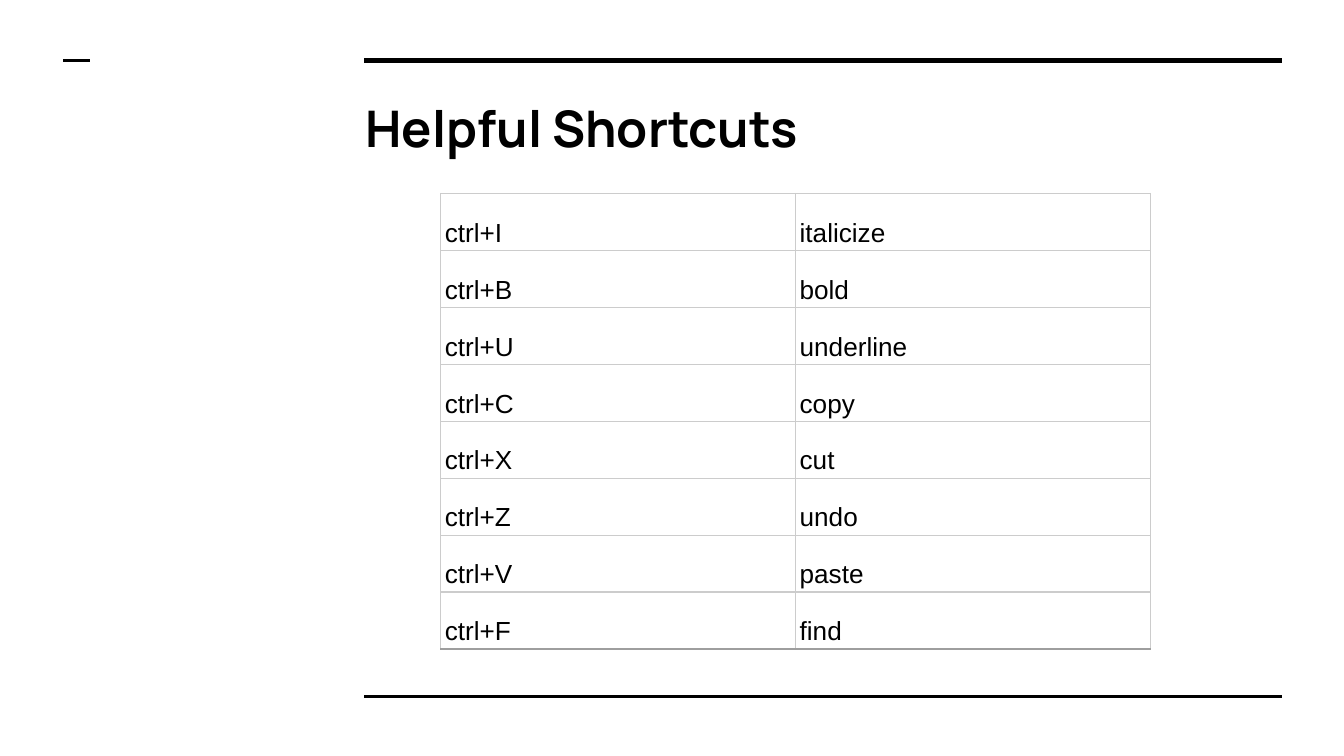
from dataclasses import dataclass

from lxml import etree
from pptx import Presentation
from pptx.dml.color import RGBColor
from pptx.enum.shapes import MSO_CONNECTOR
from pptx.enum.text import MSO_ANCHOR, PP_ALIGN
from pptx.oxml.ns import qn
from pptx.util import Inches, Pt

STRAIGHT = MSO_CONNECTOR.STRAIGHT
MIDDLE = MSO_ANCHOR.MIDDLE
BOTTOM = MSO_ANCHOR.BOTTOM
LEFT = PP_ALIGN.LEFT
TITLE_ONLY = 5

COLORS = {"ink": "000000", "grid": "CCCCCC", "table_end": "9E9E9E"}
TITLE_FONT = "Manrope"
TABLE_FONT = "Arial"
COLUMN_WIDTH = 2.64
TABLE_HEIGHT = 3.39
GRID_WEIGHT = 0.75


@dataclass(frozen=True)
class Rule:
    left: float
    right: float
    top: float
    weight: float


@dataclass(frozen=True)
class Shortcut:
    keys: str
    action: str


RULES = [
    Rule(2.71, 9.54, 0.45, 3),
    Rule(2.71, 9.54, 5.18, 1.5),
    Rule(0.47, 0.67, 0.45, 1.5),
]

SHORTCUTS = [
    Shortcut("ctrl+I", "italicize"),
    Shortcut("ctrl+B", "bold"),
    Shortcut("ctrl+U", "underline"),
    Shortcut("ctrl+C", "copy"),
    Shortcut("ctrl+X", "cut"),
    Shortcut("ctrl+Z", "undo"),
    Shortcut("ctrl+V", "paste"),
    Shortcut("ctrl+F", "find"),
]


def format_text(para, font_name: str, size: float, bold: bool = False) -> None:
    para.alignment = LEFT
    for span in para.runs:
        span.font.name = font_name
        span.font.size = Pt(size)
        span.font.bold = bold
        span.font.color.rgb = RGBColor.from_string(COLORS["ink"])


def draw_rule(page, rule: Rule) -> None:
    line = page.shapes.add_connector(
        STRAIGHT, Inches(rule.left), Inches(rule.top), Inches(rule.right), Inches(rule.top)
    )
    line.line.color.rgb = RGBColor.from_string(COLORS["ink"])
    line.line.width = Pt(rule.weight)
    etree.SubElement(line._element.spPr, qn("a:effectLst"))


def draw_title(page, text: str) -> None:
    title = page.shapes.title
    title.left, title.top = Inches(2.62), Inches(0.63)
    title.width, title.height = Inches(6.91), Inches(0.69)
    frame = title.text_frame
    frame.text = text
    frame.word_wrap = True
    frame.vertical_anchor = MIDDLE
    frame.margin_left = frame.margin_right = Inches(0.1)
    frame.margin_top = frame.margin_bottom = Inches(0.1)
    para = frame.paragraphs[0]
    para.line_spacing = 0.9
    format_text(para, TITLE_FONT, 27, bold=True)


def set_borders(cell, bottom_color: str) -> None:
    properties = cell._tc.get_or_add_tcPr()
    sides = {"L": "grid", "R": "grid", "T": "grid", "B": bottom_color}
    for position, (side, color) in enumerate(sides.items()):
        border = etree.Element(qn(f"a:ln{side}"), w=str(Pt(GRID_WEIGHT)))
        fill = etree.SubElement(border, qn("a:solidFill"))
        etree.SubElement(fill, qn("a:srgbClr"), val=COLORS[color])
        properties.insert(position, border)


def fill_cell(cell, text: str, bottom_color: str) -> None:
    cell.fill.background()
    cell.vertical_anchor = BOTTOM
    cell.margin_left = cell.margin_right = Inches(0.03)
    cell.margin_top = cell.margin_bottom = Inches(0.02)
    cell.text_frame.text = text
    para = cell.text_frame.paragraphs[0]
    para.line_spacing = 1.15
    format_text(para, TABLE_FONT, 14)
    set_borders(cell, bottom_color)


def draw_shortcuts(page, shortcuts: list[Shortcut]) -> None:
    table = page.shapes.add_table(
        len(shortcuts), 2, Inches(3.28), Inches(1.44),
        Inches(2 * COLUMN_WIDTH), Inches(TABLE_HEIGHT),
    ).table
    table.first_row = False
    table.horz_banding = False
    for index, shortcut in enumerate(shortcuts):
        bottom_color = "table_end" if index == len(shortcuts) - 1 else "grid"
        fill_cell(table.cell(index, 0), shortcut.keys, bottom_color)
        fill_cell(table.cell(index, 1), shortcut.action, bottom_color)


def main() -> None:
    deck = Presentation()
    deck.slide_width = Inches(10)
    deck.slide_height = deck.slide_width * 9 // 16
    page = deck.slides.add_slide(deck.slide_layouts[TITLE_ONLY])
    for rule in RULES:
        draw_rule(page, rule)
    draw_title(page, "Helpful Shortcuts")
    draw_shortcuts(page, SHORTCUTS)
    deck.save("out.pptx")


if __name__ == "__main__":
    main()
